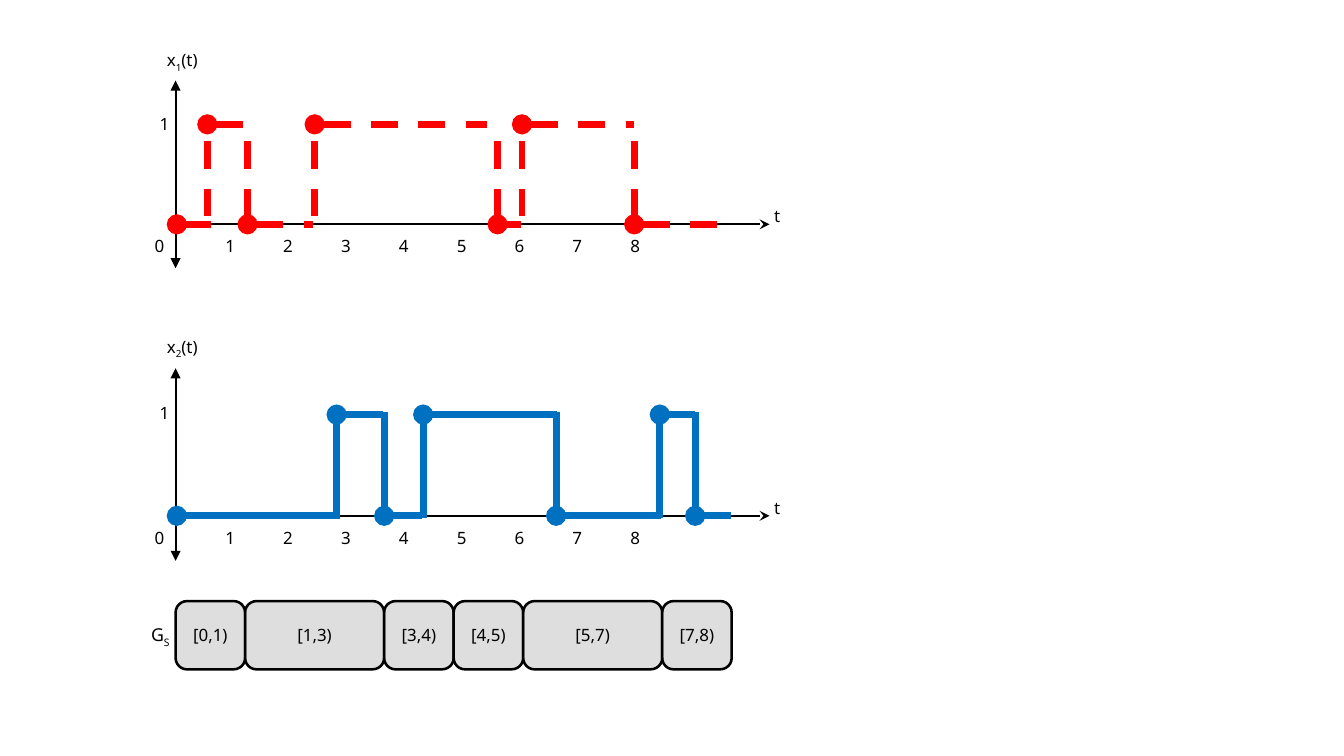
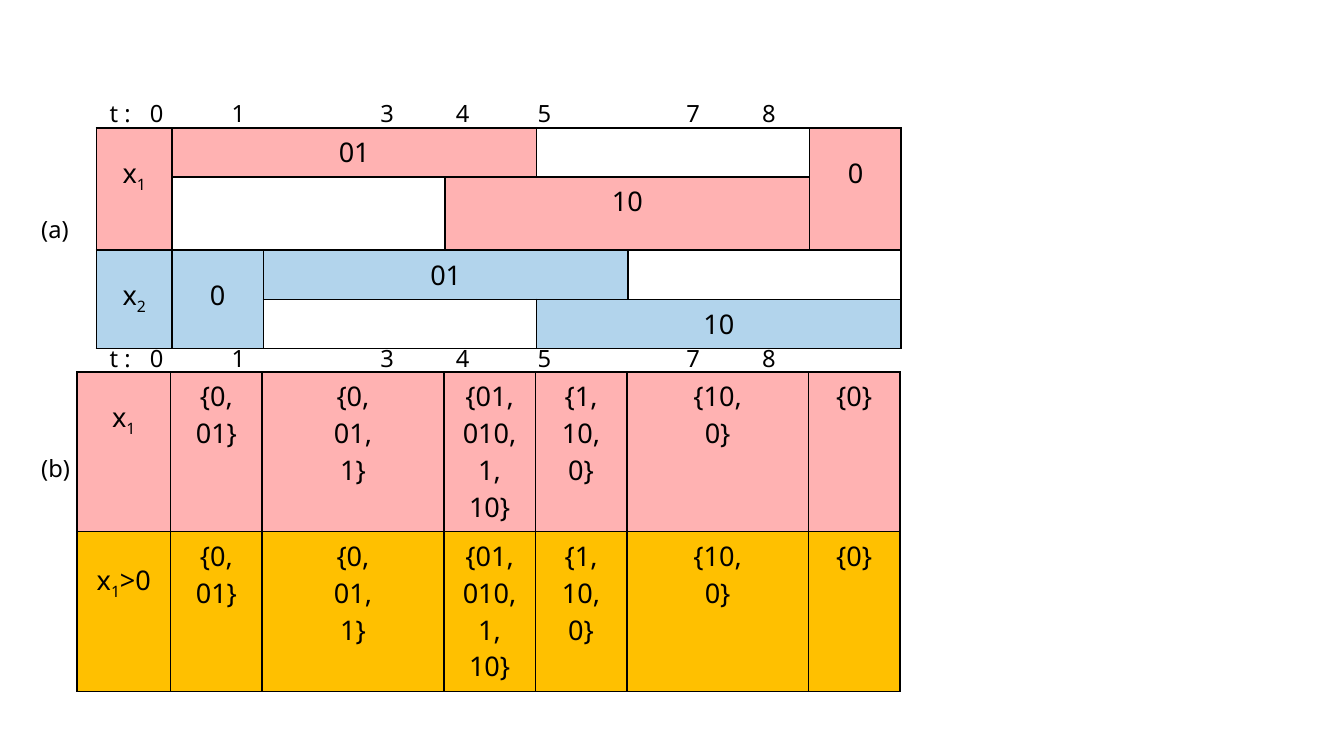
from lxml import etree
from pptx import Presentation
from pptx.dml.color import RGBColor
from pptx.enum import dml, shapes, text
from pptx.oxml import ns
from pptx.util import Inches, Pt

FONT = "Noto Sans"
BLACK = RGBColor(0x00, 0x00, 0x00)
WHITE = RGBColor(0xFF, 0xFF, 0xFF)
RED = RGBColor(0xFF, 0x00, 0x00)
BLUE = RGBColor(0x00, 0x70, 0xC0)
GREY = RGBColor(0xBF, 0xBF, 0xBF)
PINK = RGBColor(0xFF, 0xB2, 0xB2)
SKY = RGBColor(0xB2, 0xD4, 0xEC)
AMBER = RGBColor(0xFF, 0xC0, 0x00)

AXIS_X = 1.44
SIGNALS = [
    dict(name="x_1(t)", name_top=0.36, axis=(0.66, 2.2), high=1.02, low=1.84,
         rise=(1.16, 1.92), fall=(1.16, 1.92), one_top=0.88, time_top=1.64,
         ticks_top=1.88, color=RED, dash=dml.MSO_LINE.DASH,
         levels=[(1.45, 1.73), (1.7, 2.04), (2.03, 2.57), (2.58, 3.99),
                 (4.08, 4.27), (4.28, 5.2), (5.2, 5.99)]),
    dict(name="x_2(t)", name_top=2.71, axis=(3.02, 4.6), high=3.4, low=4.23,
         rise=(3.45, 4.25), fall=(3.38, 4.16), one_top=3.25, time_top=4.03,
         ticks_top=4.28, color=BLUE, dash=None,
         levels=[(1.45, 2.79), (2.76, 3.14), (3.15, 3.46), (3.47, 4.57),
                 (4.56, 5.42), (5.41, 5.7), (5.7, 5.99)]),
]
TICKS = [str(number) for number in range(9)]
TICK_STOPS = [0.58 + 3.32 * step / 7 for step in range(8)]
INTERVALS = [(0, 1), (1, 3), (3, 4), (4, 5), (5, 7), (7, 8)]
UNIT = 0.57

TIMES = ["t :", "0", "1", "3", "4", "5", "7", "8"]
TIME_STOPS = [0.33, 1.0, 2.22, 2.84, 3.51, 4.73, 5.35]
STEP_WIDTHS = [0.75, 1.49, 0.75, 0.75, 1.49, 0.75]
SETS = ["{0,\n01}", "{0,\n01,\n1}", "{01,\n010,\n1,\n10}",
        "{1,\n10,\n0}", "{10,\n0}", "{0}"]
LOWERED = 0.22

# (row, column, rows, columns, text, fill, top margin)
PULSES = [
    (0, 0, 2, 1, "x_1", PINK, LOWERED), (0, 1, 1, 3, "01", PINK, 0.05),
    (0, 4, 1, 2, "", WHITE, 0), (0, 6, 2, 1, "0", PINK, LOWERED),
    (1, 1, 1, 2, "", WHITE, 0), (1, 3, 1, 3, "10", PINK, 0.05),
    (2, 0, 2, 1, "x_2", SKY, LOWERED), (2, 1, 2, 1, "0", SKY, LOWERED),
    (2, 2, 1, 3, "01", SKY, 0.05), (2, 5, 1, 2, "", WHITE, 0),
    (3, 2, 1, 2, "", WHITE, 0), (3, 4, 1, 3, "10", SKY, 0.05),
]
VALUES = []
for row, (label, fill, margin) in enumerate([("x_1", PINK, LOWERED), ("x_1>0", AMBER, 0.25)]):
    VALUES.append((row, 0, 1, 1, label, fill, margin))
    VALUES += [(row, column, 1, 1, words, fill, 0.05) for column, words in enumerate(SETS, 1)]

TABLES = [
    dict(left=0.79, top=1.05, first=0.62, rows=[0.4, 0.6, 0.4, 0.4], cells=PULSES,
         times_top=0.76, label="(a)", label_top=1.71),
    dict(left=0.63, top=3.05, first=0.77, rows=[1.31, 1.31], cells=VALUES,
         times_top=2.77, label="(b)", label_top=3.67),
]


def element(parent, tag, **attributes):
    return etree.SubElement(parent, ns.qn(tag), attributes)


def write(frame, words, size, align=text.PP_ALIGN.LEFT, stops=()):
    for index, line in enumerate(words.split("\n")):
        para = frame.add_paragraph() if index else frame.paragraphs[0]
        para.alignment = align
        if stops:
            tabs = element(para._p.get_or_add_pPr(), "a:tabLst")
            for stop in stops:
                element(tabs, "a:tab", pos=str(Inches(stop)), algn="l")
        para.font.name, para.font.size = FONT, Pt(size)
        para.font.color.rgb = BLACK
        before, _, after = line.partition("_")
        for position, piece in enumerate([before, after[:1], after[1:]]):
            if piece:
                span = para.add_run()
                span.text = piece
                if position == 1:
                    span._r.get_or_add_rPr().set("baseline", "-25000")


def add_text(page, left, top, width, height, words, size, stops=()):
    box = page.shapes.add_textbox(Inches(left), Inches(top), Inches(width), Inches(height))
    box.text_frame.word_wrap = True
    write(box.text_frame, words, size, stops=stops)


def add_line(page, start, end, color, width, dash=None, head=None, tail=None):
    ends = [Inches(value) for value in start + end]
    line = page.shapes.add_connector(shapes.MSO_CONNECTOR.STRAIGHT, *ends)
    line.line.color.rgb, line.line.width = color, Pt(width)
    if dash:
        line.line.dash_style = dash
    outline = line.line._get_or_add_ln()
    for tag, kind in (("a:headEnd", head), ("a:tailEnd", tail)):
        if kind:
            element(outline, tag, type=kind)
    element(line._element.spPr, "a:effectLst")


def add_signal(page, signal):
    high, low, levels = signal["high"], signal["low"], signal["levels"]
    add_line(page, (6.31, low), (1.45, low), BLACK, 1.25, head="stealth")
    top, bottom = signal["axis"]
    add_line(page, (AXIS_X, top), (AXIS_X, bottom), BLACK, 1.25, head="triangle", tail="triangle")
    add_text(page, 1.27, signal["name_top"], 0.6, 0.3, signal["name"], 10)
    add_text(page, 1.21, signal["one_top"], 0.3, 0.3, "1", 10)
    add_text(page, 6.25, signal["time_top"], 0.3, 0.3, "t", 10)
    add_text(page, 1.17, signal["ticks_top"], 5.1, 0.3, "\t".join(TICKS), 10, TICK_STOPS)
    for index, (start, end) in enumerate(levels):
        is_high = index % 2
        height = high if is_high else low
        add_line(page, (start, height), (end, height), signal["color"], 4, signal["dash"], "oval")
        if index:
            top, bottom = signal["rise" if is_high else "fall"]
            add_line(page, (start, top), (start, bottom), signal["color"], 4, signal["dash"])


def add_interval(page, start, end):
    block = page.shapes.add_shape(
        shapes.MSO_SHAPE.ROUNDED_RECTANGLE, Inches(AXIS_X + UNIT * start), Inches(4.93),
        Inches(UNIT * (end - start)), Inches(0.56))
    block.shadow.inherit = False
    block.fill.solid()
    block.fill.fore_color.rgb = GREY
    element(block._element.spPr.find(".//" + ns.qn("a:srgbClr")), "a:alpha", val="50000")
    block.line.color.rgb, block.line.width = BLACK, Pt(1.5)
    block.text_frame.vertical_anchor = text.MSO_ANCHOR.MIDDLE
    write(block.text_frame, f"[{start},{end})", 10, text.PP_ALIGN.CENTER)


def style_cell(cell, fill):
    properties = cell._tc.get_or_add_tcPr()
    for side in ("a:lnL", "a:lnR", "a:lnT", "a:lnB"):
        if properties.find(ns.qn(side)) is None:
            border = element(properties, side, w=str(Pt(1)))
            element(element(border, "a:solidFill"), "a:srgbClr", val=str(BLACK))
    cell.fill.solid()
    cell.fill.fore_color.rgb = fill


def add_grid(page, left, top, first, rows, cells, times_top, label, label_top):
    widths = [first] + STEP_WIDTHS
    table = page.shapes.add_table(len(rows), len(widths), Inches(left), Inches(top),
                                  Inches(sum(widths)), Inches(sum(rows))).table
    table.first_row = table.horz_banding = False
    for column, width in zip(table.columns, widths):
        column.width = Inches(width)
    for row, height in zip(table.rows, rows):
        row.height = Inches(height)
    for cell in table.iter_cells():
        style_cell(cell, WHITE)
        cell.margin_top = cell.margin_bottom = 0
    for row, column, tall, wide, words, fill, margin in cells:
        cell = table.cell(row, column)
        if tall * wide > 1:
            cell.merge(table.cell(row + tall - 1, column + wide - 1))
        style_cell(cell, fill)
        cell.margin_top = Inches(margin)
        if words:
            cell.margin_bottom = Inches(0.05)
            write(cell.text_frame, words, 16, text.PP_ALIGN.CENTER)
    add_text(page, 0.24, label_top, 0.6, 0.44, label, 14)
    add_text(page, 0.8, times_top, 6.88, 0.25, "\t".join(TIMES), 14, TIME_STOPS)


def main():
    deck = Presentation()
    deck.slide_width, deck.slide_height = Inches(11.02), Inches(6.2)
    signal_page, table_page = [deck.slides.add_slide(deck.slide_layouts[6]) for _ in range(2)]
    for signal in SIGNALS:
        add_signal(signal_page, signal)
    for start, end in INTERVALS:
        add_interval(signal_page, start, end)
    add_text(signal_page, 1.14, 5.07, 0.45, 0.29, "G_S", 10.5)
    for grid in TABLES:
        add_grid(table_page, **grid)
    deck.save("out.pptx")


if __name__ == "__main__":
    main()
